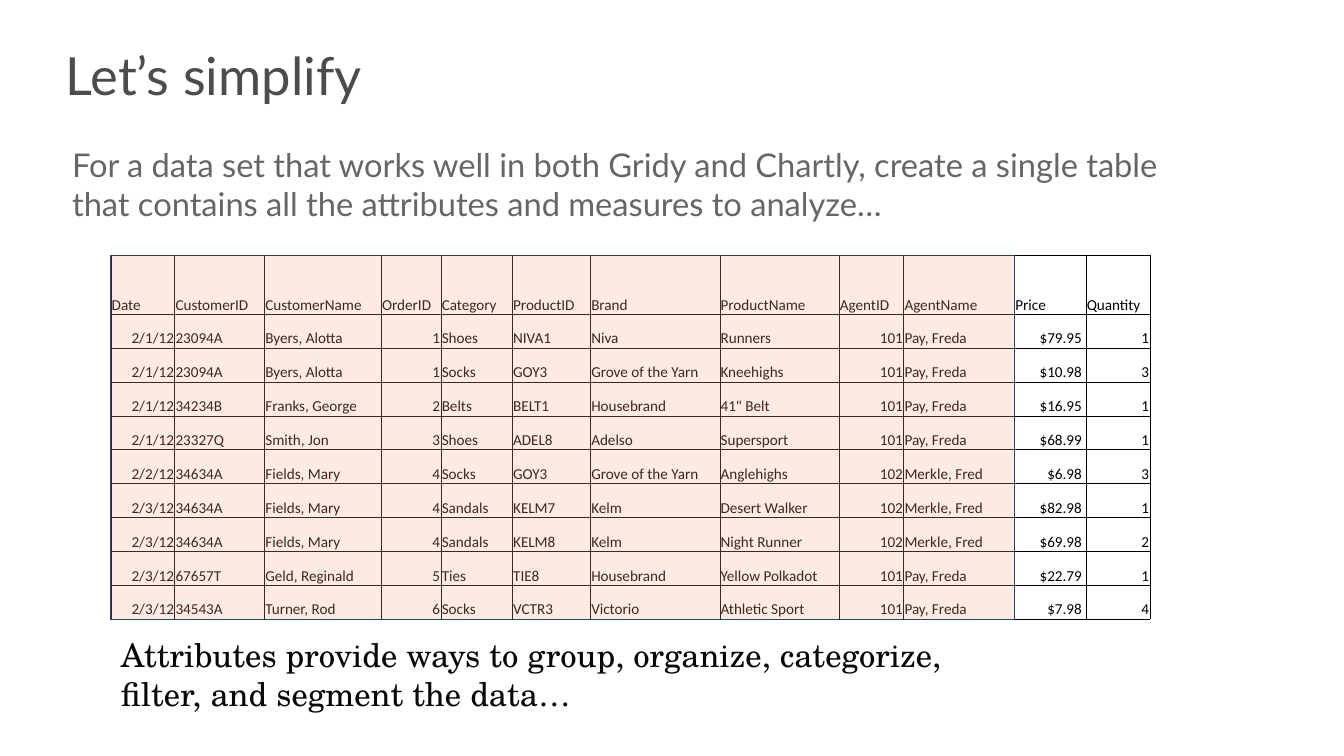
from lxml import etree
from pptx import Presentation
from pptx.dml.color import RGBColor
from pptx.enum.shapes import MSO_SHAPE
from pptx.enum.text import MSO_ANCHOR, PP_ALIGN
from pptx.oxml.ns import qn
from pptx.util import Inches, Pt

RECT = MSO_SHAPE.RECTANGLE
BOTTOM = MSO_ANCHOR.BOTTOM
LEFT = PP_ALIGN.LEFT
RIGHT = PP_ALIGN.RIGHT

BLACK = RGBColor(0, 0, 0)
INK = RGBColor(0x08, 0x08, 0x08)
DARK = RGBColor(0x4C, 0x4C, 0x4C)
GRAY = RGBColor(0x66, 0x66, 0x66)
PEACH = RGBColor(0xF1, 0xAD, 0x80)
NAVY = RGBColor(0x1F, 0x44, 0x7D)

TITLE = {"name": "Lato", "size": Pt(45)}
LEAD = {"name": "Lato", "size": Pt(28)}
NOTE = {"name": "TeX Gyre Schola", "size": Pt(28)}
DATA = {"name": "Calibri", "size": Pt(13)}

GRID_X, GRID_Y, GRID_H = 1.32, 3.04, 4.33
HEAD_H = 0.7
WIDTHS = [0.76, 1.07, 1.39, 0.71, 0.85, 0.93, 1.54, 1.42, 0.77, 1.32, 0.85, 0.76]
NUMERIC = {"Date", "OrderID", "AgentID", "Price", "Quantity"}
HEADS = ["Date", "CustomerID", "CustomerName", "OrderID", "Category", "ProductID",
         "Brand", "ProductName", "AgentID", "AgentName", "Price", "Quantity"]
ORDERS = [
    "2/1/12|23094A|Byers, Alotta|1|Shoes|NIVA1|Niva|Runners|101|Pay, Freda|$79.95 |1",
    "2/1/12|23094A|Byers, Alotta|1|Socks|GOY3|Grove of the Yarn|Kneehighs|101|Pay, Freda|$10.98 |3",
    "2/1/12|34234B|Franks, George|2|Belts|BELT1|Housebrand|41\" Belt|101|Pay, Freda|$16.95 |1",
    "2/1/12|23327Q|Smith, Jon|3|Shoes|ADEL8|Adelso|Supersport|101|Pay, Freda|$68.99 |1",
    "2/2/12|34634A|Fields, Mary|4|Socks|GOY3|Grove of the Yarn|Anglehighs|102|Merkle, Fred|$6.98 |3",
    "2/3/12|34634A|Fields, Mary|4|Sandals|KELM7|Kelm|Desert Walker|102|Merkle, Fred|$82.98 |1",
    "2/3/12|34634A|Fields, Mary|4|Sandals|KELM8|Kelm|Night Runner|102|Merkle, Fred|$69.98 |2",
    "2/3/12|67657T|Geld, Reginald|5|Ties|TIE8|Housebrand|Yellow Polkadot|101|Pay, Freda|$22.79 |1",
    "2/3/12|34543A|Turner, Rod|6|Socks|VCTR3|Victorio|Athletic Sport|101|Pay, Freda|$7.98 |4",
]


def apply(target, values):
    for name, value in values.items():
        setattr(target, name, value)


def write(frame, text, font, color, para):
    line = frame.paragraphs[0]
    apply(line, para)
    run = line.add_run()
    run.text = text
    apply(run.font, font)
    run.font.color.rgb = color


def add_text(slide, box, text, font, color, pad=(0.1, 0.05), para={}):
    frame = slide.shapes.add_textbox(*map(Inches, box)).text_frame
    side, edge = map(Inches, pad)
    apply(frame, {"word_wrap": True, "margin_left": side, "margin_right": side,
                  "margin_top": edge, "margin_bottom": edge})
    write(frame, text, font, color, para)


def add_rules(cell):
    props = cell._tc.get_or_add_tcPr()
    for side in ("a:lnL", "a:lnR", "a:lnT", "a:lnB"):
        rule = etree.SubElement(props, qn(side), w=str(Pt(0.5)))
        fill = etree.SubElement(rule, qn("a:solidFill"))
        etree.SubElement(fill, qn("a:srgbClr"), val=str(BLACK))


def fill_cell(cell, text, align):
    thin = Inches(0.01)
    apply(cell, {"margin_left": thin, "margin_right": thin, "margin_top": thin,
                 "margin_bottom": 0, "vertical_anchor": BOTTOM})
    add_rules(cell)
    cell.fill.background()
    write(cell.text_frame, text, DATA, BLACK, {"alignment": align})


def add_grid(slide):
    rows = [HEADS] + [order.split("|") for order in ORDERS]
    box = map(Inches, (GRID_X, GRID_Y, sum(WIDTHS), GRID_H))
    table = slide.shapes.add_table(len(rows), len(HEADS), *box).table
    apply(table, {"first_row": False, "horz_banding": False})
    for column, width in zip(table.columns, WIDTHS):
        column.width = Inches(width)
    for r, row in enumerate(rows):
        table.rows[r].height = Inches((GRID_H - HEAD_H) / len(ORDERS) if r else HEAD_H)
        for c, text in enumerate(row):
            align = RIGHT if r and HEADS[c] in NUMERIC else LEFT
            fill_cell(table.cell(r, c), text, align)


def add_tint(slide):
    width = sum(WIDTHS[:HEADS.index("Price")])
    box = map(Inches, (GRID_X, GRID_Y, width, GRID_H))
    tint = slide.shapes.add_shape(RECT, *box)
    tint.shadow.inherit = False
    tint.fill.solid()
    tint.fill.fore_color.rgb = PEACH
    color = tint._element.spPr.find(qn("a:solidFill"))[0]
    etree.SubElement(color, qn("a:alpha"), val="24000")
    tint.line.color.rgb = NAVY
    tint.line.width = Pt(0.75)


def main():
    deck = Presentation()
    apply(deck, {"slide_width": Inches(16), "slide_height": Inches(9)})
    slide = deck.slides.add_slide(deck.slide_layouts[6])
    add_text(slide, (0.78, 0.66, 14.48, 0.61), "Let’s simplify", TITLE, DARK,
             (0, 0), {"line_spacing": 0.8})
    add_grid(slide)
    add_tint(slide)
    add_text(slide, (1.32, 7.5, 10.96, 1.5),
             "Attributes provide ways to group, organize, categorize, "
             "filter, and segment the data…", NOTE, INK, (0.12, 0.06))
    add_text(slide, (0.76, 1.67, 13.68, 1.04),
             "For a data set that works well in both Gridy and Chartly, create a single table "
             "that contains all the attributes and measures to analyze…", LEAD, GRAY)
    deck.save("out.pptx")


if __name__ == "__main__":
    main()
